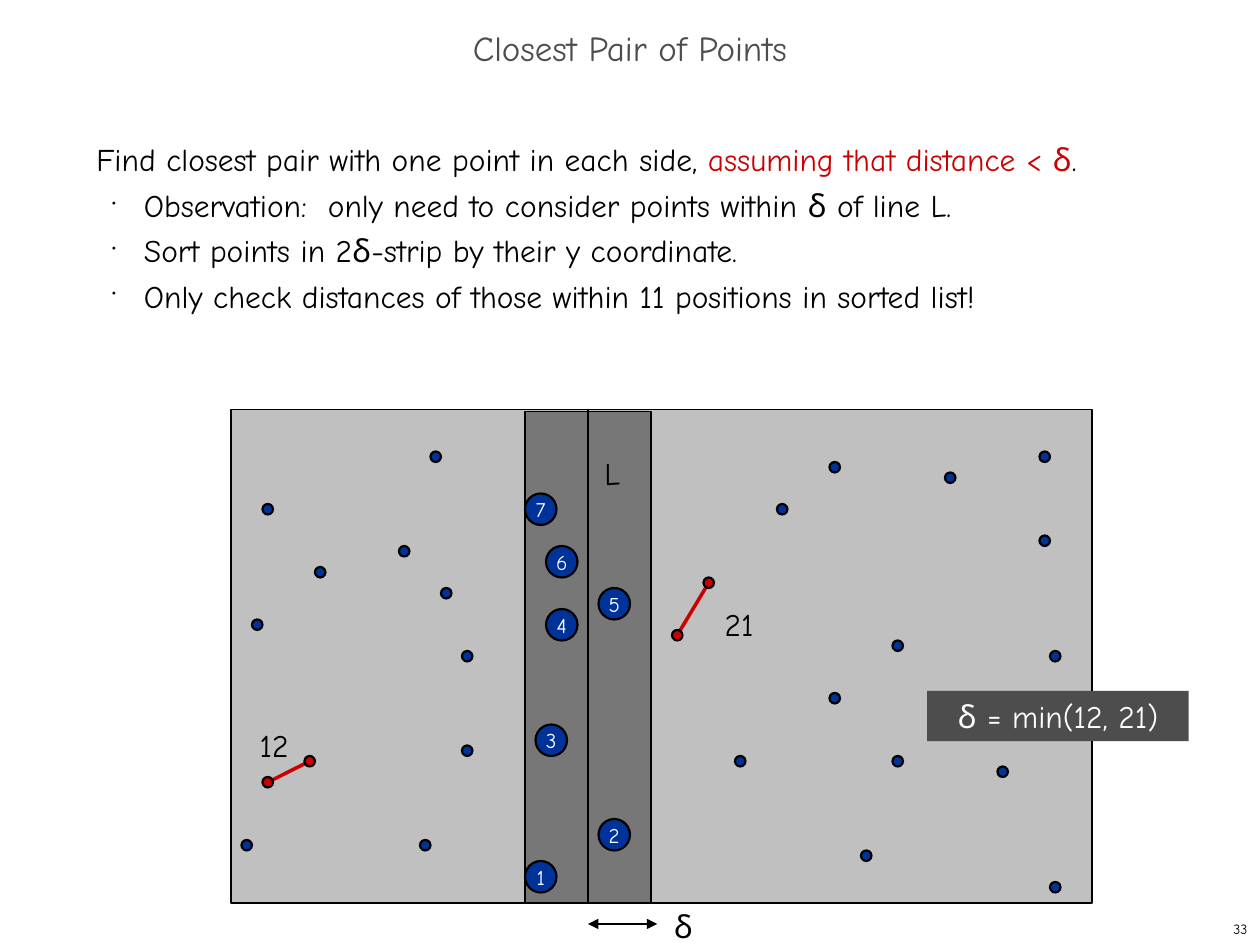
from lxml.etree import SubElement
from pptx import Presentation
from pptx.dml.color import RGBColor
from pptx.enum.shapes import MSO_CONNECTOR as Connector, MSO_SHAPE as Preset
from pptx.enum.text import MSO_ANCHOR as Anchor, PP_ALIGN as Align
from pptx.oxml.ns import qn
from pptx.util import Cm, Pt

theme = {
    "font": "Comic Neue",
    "black": RGBColor(0x00, 0x00, 0x00),
    "white": RGBColor(0xFF, 0xFF, 0xFF),
    "red": RGBColor(0xCC, 0x00, 0x00),
    "blue": RGBColor(0x00, 0x33, 0x99),
    "field": RGBColor(0xC0, 0xC0, 0xC0),
    "strip": RGBColor(0x77, 0x77, 0x77),
    "dark": RGBColor(0x4D, 0x4D, 0x4D),
    "title": Pt(20),
    "body": Pt(18),
    "number": Pt(12),
    "page": Pt(8),
}
unit = Cm(2.54) / 12


def add_item(shapes, kind, box, fill=None, line=None):
    lengths = [round(value * unit) for value in box]
    if kind == "text":
        return shapes.add_textbox(*lengths)
    if kind == "line":
        shape = shapes.add_connector(Connector.STRAIGHT, *lengths)
        SubElement(shape._element.spPr, qn("a:effectLst"))
    else:
        shape = shapes.add_shape(kind, *lengths)
        shape.shadow.inherit = False
        shape.fill.solid()
        shape.fill.fore_color.rgb = theme[fill]
    if line:
        color, width = line
        shape.line.color.rgb = theme[color]
        shape.line.width = Pt(width)
    else:
        shape.line.fill.background()
    return shape


def write(shape, paragraphs, size="body", align=Align.CENTER, anchor=Anchor.TOP, wrap=True, spacing=None):
    frame = shape.text_frame
    frame_format = {
        "word_wrap": wrap,
        "vertical_anchor": anchor,
        "margin_left": Cm(0.25),
        "margin_right": Cm(0.25),
        "margin_top": Cm(0.13),
        "margin_bottom": Cm(0.13),
    }
    for name, value in frame_format.items():
        setattr(frame, name, value)
    for index, runs in enumerate(paragraphs):
        paragraph = frame.add_paragraph() if index else frame.paragraphs[0]
        paragraph.alignment = align
        paragraph.line_spacing = spacing
        for text, color in runs:
            run = paragraph.add_run()
            run.text = text
            for name, value in {"name": theme["font"], "size": theme[size]}.items():
                setattr(run.font, name, value)
            run.font.color.rgb = theme[color]


presentation = Presentation()
presentation.slide_width, presentation.slide_height = Cm(25.4), Cm(19.05)
slide = presentation.slides.add_slide(presentation.slide_layouts[6])
shapes = slide.shapes

page_number = add_item(shapes, "text", (95, 87, 25, 3))
write(page_number, [[("33", "black")]], "page", Align.RIGHT, Anchor.MIDDLE, False)

add_item(shapes, Preset.RECTANGLE, (22, 39, 82, 47), "field", ("black", 1))
add_item(shapes, Preset.RECTANGLE, (50, 39.2, 12, 46.8), "strip", ("black", 1))

points = [
    (30, 54), (44, 71), (25, 48), (38, 52), (41, 43), (42, 56), (74, 48), (100, 84),
    (79, 44), (85, 61), (24, 59), (44, 62), (23, 80), (40, 80), (99, 51), (90, 45),
    (70, 72), (99, 43), (79, 66), (82, 81), (100, 62), (85, 72), (95, 73),
]
for left, top in points:
    add_item(shapes, Preset.OVAL, (left, top, 1, 1), "blue", ("black", 1.25))

add_item(shapes, "line", (56, 39, 56, 86), line=("black", 1))

closest_pairs = [
    ("12", (22.8, 68.5), [(29, 72), (25, 74)]),
    ("21", (67.1, 57), [(67, 55), (64, 60)]),
]
for distance, label_place, ends in closest_pairs:
    pair = shapes.add_group_shape().shapes
    centres = [value + 0.5 for end in ends for value in end]
    add_item(pair, "line", centres, line=("red", 2))
    for left, top in ends:
        add_item(pair, Preset.OVAL, (left, top, 1, 1), "red", ("black", 1.25))
    write(add_item(pair, "text", (*label_place, 6.6, 4.8)), [[(distance, "black")]])

strip_points = [(50, 82), (57, 78), (51, 69), (52, 58), (57, 56), (52, 52), (50, 47)]
for number, (left, top) in enumerate(strip_points, 1):
    circle = add_item(shapes, Preset.OVAL, (left, top, 3, 3), "blue", ("black", 1.25))
    write(circle, [[(str(number), "white")]], "number", anchor=Anchor.MIDDLE, wrap=False)

width_arrow = add_item(shapes, "line", (56, 88, 62.6, 88), line=("black", 0.75))
for end in ("a:headEnd", "a:tailEnd"):
    SubElement(width_arrow.line._get_or_add_ln(), qn(end), type="triangle")
write(add_item(shapes, "text", (63, 85.8, 4, 4.2)), [[("δ", "black")]])

title = add_item(shapes, "text", (0, 2, 120, 6))
write(title, [[("Closest Pair of Points", "dark")]], "title", anchor=Anchor.MIDDLE, spacing=0.7)

body = add_item(shapes, "text", (8, 12, 103, 71))
statements = [
    [
        ("Find closest pair with one point in each side, ", "black"),
        ("assuming that distance < δ", "red"),
        (".", "black"),
    ],
    [("Observation:  only need to consider points within δ of line L.", "black")],
    [("Sort points in 2δ-strip by their y coordinate.", "black")],
    [("Only check distances of those within 11 positions in sorted list!", "black")],
]
write(body, statements, align=Align.LEFT, spacing=Pt(26))
for paragraph in body.text_frame.paragraphs[1:]:
    paragraph.level = 1
    properties = paragraph._p.get_or_add_pPr()
    properties.set("marL", str(Cm(0.96)))
    properties.set("indent", str(-Cm(0.64)))
    bullet_color = SubElement(properties, qn("a:buClr"))
    SubElement(bullet_color, qn("a:srgbClr"), val=str(theme["black"]))
    SubElement(properties, qn("a:buSzPct"), val="35000")
    SubElement(properties, qn("a:buChar"), char="•")

write(add_item(shapes, "text", (55, 42.6, 6.6, 4.8)), [[("L", "black")]])
minimum = add_item(shapes, Preset.RECTANGLE, (88.3, 65.8, 24.9, 4.8), "dark")
write(minimum, [[("δ = min(12, 21)", "white")]])

presentation.save("out.pptx")
